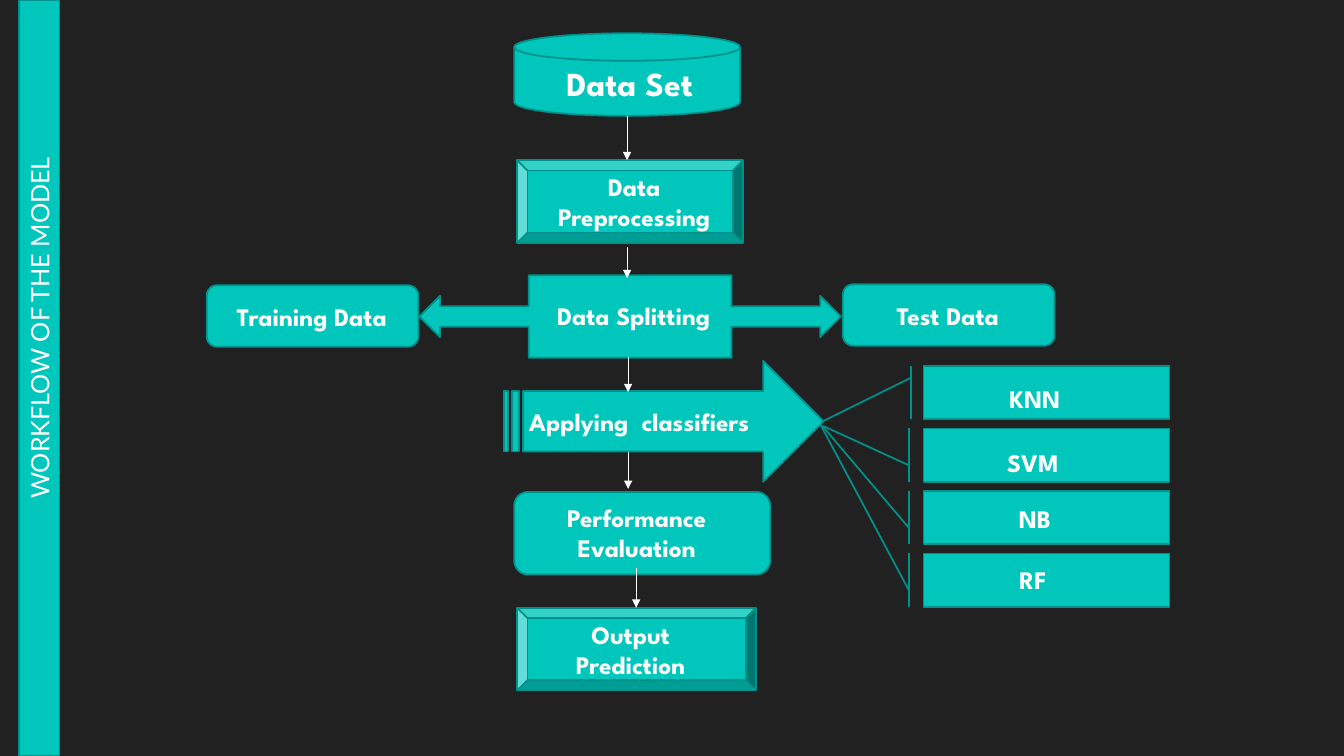
from lxml.etree import SubElement
from pptx import Presentation
from pptx.dml.color import RGBColor
from pptx.enum.shapes import MSO_CONNECTOR, MSO_SHAPE
from pptx.enum.text import MSO_ANCHOR, MSO_AUTO_SIZE, PP_ALIGN
from pptx.oxml.ns import qn
from pptx.util import Inches, Pt

THEME = {
    "back": RGBColor(0x21, 0x21, 0x21),
    "teal": RGBColor(0x00, 0xC6, 0xBB),
    "edge": RGBColor(0x00, 0x92, 0x8A),
    "white": RGBColor(0xFF, 0xFF, 0xFF),
    "head": "Lato",
    "body": "League Spartan",
    "text": Pt(18),
    "large": Pt(24),
    "border": Pt(1.25),
    "arrow": Pt(0.75),
}
LEFT, MID = PP_ALIGN.LEFT, PP_ALIGN.CENTER


def add_block(kind, *box):
    block = slide.shapes.add_shape(kind, *map(Inches, box))
    block.shadow.inherit = False
    block.fill.solid()
    block.fill.fore_color.rgb = THEME["teal"]
    block.line.color.rgb = THEME["edge"]
    block.line.width = THEME["border"]
    return block


def set_text(shape, text, align, **style):
    frame = shape.text_frame
    layout = {"text": text, "word_wrap": True, "auto_size": MSO_AUTO_SIZE.NONE,
              "vertical_anchor": MSO_ANCHOR.TOP}
    for name, value in layout.items():
        setattr(frame, name, value)
    line = frame.paragraphs[0]
    line.alignment = align
    font = line.runs[0].font
    base = {"name": THEME["body"], "size": THEME["text"], "bold": True}
    for name, value in (base | style).items():
        setattr(font, name, value)
    font.color.rgb = THEME["white"]


# Slide and background
deck = Presentation()
deck.slide_width, deck.slide_height = Inches(13.33), Inches(7.5)
slide = deck.slides.add_slide(deck.slide_layouts[5])
slide.background.fill.solid()
slide.background.fill.fore_color.rgb = THEME["back"]

# Side bar with the upright title
bar = add_block(MSO_SHAPE.RECTANGLE, 0.19, 0, 0.4, 7.5)
title = slide.shapes.title
place = {"left": Inches(-1.36), "top": Inches(2.79), "width": Inches(3.81),
         "height": Inches(0.71), "rotation": 270}
for name, value in place.items():
    setattr(title, name, value)
set_text(title, "WORKFLOW OF THE MODEL", LEFT, name=THEME["head"], bold=False)
bar.element.addnext(title.element)

# Workflow steps: shape, its box, label, label box, alignment
steps = [
    (MSO_SHAPE.FLOWCHART_MAGNETIC_DISK, (5.1, 0.33, 2.24, 0.82),
     "Data Set", (5.33, 0.58, 1.83, 0.5), MID),
    (MSO_SHAPE.BEVEL, (5.13, 1.59, 2.24, 0.82),
     "Data Preprocessing", (5.27, 1.65, 2.04, 0.71), MID),
    (MSO_SHAPE.LEFT_RIGHT_ARROW_CALLOUT, (4.16, 2.73, 4.18, 0.82),
     "Data Splitting", (5.37, 2.93, 1.83, 0.4), MID),
    (MSO_SHAPE.FLOWCHART_ALTERNATE_PROCESS, (2.05, 2.83, 2.1, 0.61),
     "Training Data", (2.25, 2.94, 1.83, 0.4), LEFT),
    (MSO_SHAPE.FLOWCHART_ALTERNATE_PROCESS, (8.36, 2.82, 2.1, 0.61),
     "Test Data", (8.42, 2.93, 1.96, 0.4), MID),
    (MSO_SHAPE.STRIPED_RIGHT_ARROW, (5, 3.58, 3.17, 1.2),
     "Applying  classifiers", (5.15, 3.98, 2.87, 0.4), LEFT),
    (MSO_SHAPE.ROUNDED_RECTANGLE, (5.1, 4.88, 2.54, 0.82),
     "Performance Evaluation", (5.4, 4.93, 1.83, 0.71), MID),
    (MSO_SHAPE.BEVEL, (5.13, 6.03, 2.37, 0.82),
     "Output Prediction", (5.34, 6.09, 1.83, 0.71), MID),
]
for kind, box, text, area, align in steps:
    add_block(kind, *box)
    label = slide.shapes.add_textbox(*map(Inches, area))
    size = THEME["large"] if text == "Data Set" else THEME["text"]
    set_text(label, text, align, size=size)

# Classifiers: callouts whose leaders meet at the arrow tip
models = [
    ("KNN", 0, (0.22, -0.05, 1.04, -0.41), (9.26, 3.75, 2.01, 0.4)),
    ("SVM", 180, (0.31, 1.06, 1.05, 1.41), (9.38, 4.39, 1.73, 0.4)),
    ("NB", 180, (0.31, 1.06, 2.21, 1.41), (9.4, 4.94, 1.73, 0.4)),
    ("RF", 180, (0.31, 1.06, 3.42, 1.42), (9.38, 5.55, 1.73, 0.4)),
]
for row, (text, turn, points, area) in enumerate(models):
    model = add_block(MSO_SHAPE.LINE_CALLOUT_1_BORDER_AND_ACCENT_BAR,
                      9.16, 3.63 + 0.62 * row, 2.44, 0.53)
    model.rotation = turn
    for spot, value in enumerate(points):
        model.adjustments[spot] = value
    set_text(slide.shapes.add_textbox(*map(Inches, area)), text, MID)

# Arrows down the flow: x, start, end
flow = [(6.22, 1.15, 1.59), (6.22, 2.45, 2.76), (6.23, 3.54, 3.89),
        (6.23, 4.48, 4.85), (6.31, 5.64, 6.03)]
for x, start, end in flow:
    arrow = slide.shapes.add_connector(
        MSO_CONNECTOR.STRAIGHT, *map(Inches, (x, start, x, end)))
    arrow.line.color.rgb = THEME["white"]
    arrow.line.width = THEME["arrow"]
    SubElement(arrow.line._get_or_add_ln(), qn("a:tailEnd"), type="triangle")
    SubElement(arrow.element.spPr, qn("a:effectLst"))

deck.save("out.pptx")
